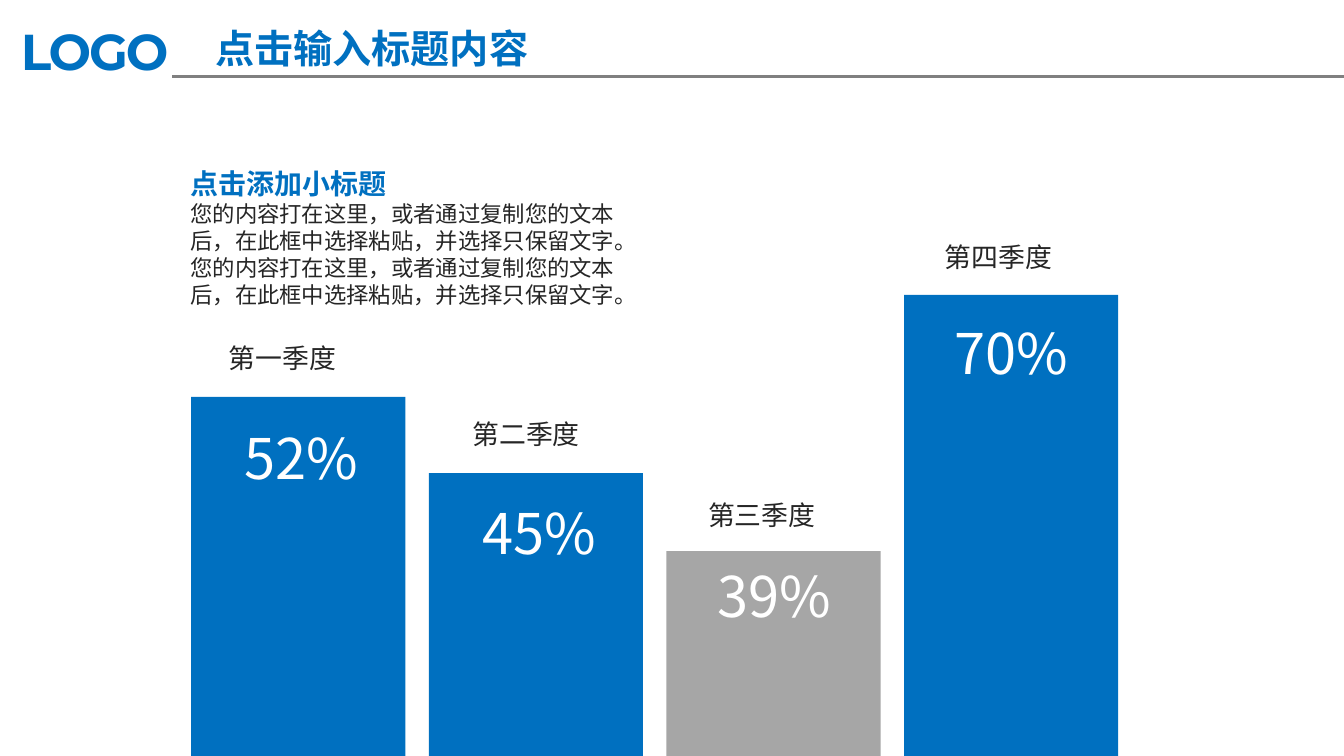
from pptx import Presentation
from pptx.dml.color import RGBColor
from pptx.enum.shapes import MSO_CONNECTOR, MSO_SHAPE
from pptx.enum.text import MSO_ANCHOR, MSO_AUTO_SIZE, PP_ALIGN
from pptx.oxml.ns import qn
from pptx.util import Cm, Pt
from lxml import etree

RECTANGLE = MSO_SHAPE.RECTANGLE
STRAIGHT = MSO_CONNECTOR.STRAIGHT
TOP = MSO_ANCHOR.TOP
NO_FIT = MSO_AUTO_SIZE.NONE
LEFT, CENTER = PP_ALIGN.LEFT, PP_ALIGN.CENTER

BLUE = RGBColor(0x00, 0x70, 0xC0)
GREY = RGBColor(0xA6, 0xA6, 0xA6)
RULE_GREY = RGBColor(0x80, 0x80, 0x80)
DARK = RGBColor(0x26, 0x26, 0x26)
WHITE = RGBColor(0xFF, 0xFF, 0xFF)

SLIDE_W, SLIDE_H = 33.88, 19.05


class QuarterSlide:
    """Holds the fonts and the slide, and draws its elements (lengths in cm)."""

    text_font = "Noto Sans CJK SC"
    logo_font = "Montserrat"

    def __init__(self, presentation):
        self.slide = presentation.slides.add_slide(presentation.slide_layouts[1])

    def place(self, shape, left, top, width, height):
        shape.left, shape.top = Cm(left), Cm(top)
        shape.width, shape.height = Cm(width), Cm(height)

    def style(self, paragraph, size, color, bold=False, font=None):
        name = font or self.text_font
        for run in paragraph.runs:
            run.font.name = name
            run.font.size = Pt(size)
            run.font.bold = bold
            run.font.color.rgb = color
            east_asian = etree.SubElement(run.font._element, qn("a:ea"))
            east_asian.set("typeface", name)

    def frame(self, shape, wrap=True, inset=(0.25, 0.13)):
        frame = shape.text_frame
        frame.auto_size = NO_FIT
        frame.word_wrap = wrap
        frame.vertical_anchor = TOP
        frame.margin_left = frame.margin_right = Cm(inset[0])
        frame.margin_top = frame.margin_bottom = Cm(inset[1])
        return frame

    def title(self, text, box):
        heading = self.slide.shapes.title
        self.place(heading, *box)
        frame = self.frame(heading)
        frame.text = text
        frame.paragraphs[0].alignment = CENTER
        self.style(frame.paragraphs[0], 28, BLUE, bold=True)

    def body(self, subtitle, passages, box):
        content = self.slide.placeholders[1]
        self.place(content, *box)
        frame = self.frame(content)
        frame.text = "\n".join([subtitle, *passages])
        for paragraph in frame.paragraphs:
            paragraph.alignment = LEFT
            paragraph.space_before = Pt(0)
            properties = paragraph._p.get_or_add_pPr()
            properties.set("marL", "0")
            properties.set("indent", "0")
            etree.SubElement(properties, qn("a:buNone"))
            self.style(paragraph, 16, DARK)
        first = frame.paragraphs[0]
        first.line_spacing = 2.0
        first.runs[0].font.size = Pt(20)
        first.runs[0].font.bold = True
        first.runs[0].font.color.rgb = BLUE

    def text(self, text, box, size, color, wrap=True, inset=(0.25, 0.13), **look):
        label = self.slide.shapes.add_textbox(*map(Cm, box))
        frame = self.frame(label, wrap, inset)
        frame.text = text
        self.style(frame.paragraphs[0], size, color, **look)
        return frame.paragraphs[0]

    def logo(self, text, box):
        word = self.text(text, box, 36, BLUE, inset=(0.33, 0.18),
                         bold=True, font=self.logo_font)
        word.runs[0].font._element.set("spc", "-150")

    def quarter_label(self, text, box):
        label = self.text(text, box, 24, DARK, inset=(0.2, 0.1))
        label.line_spacing = 0.9
        label.runs[0].font._element.set("cap", "small")

    def rule(self, left, right, y):
        line = self.slide.shapes.add_connector(
            STRAIGHT, Cm(left), Cm(y), Cm(right), Cm(y))
        line.line.color.rgb = RULE_GREY
        line.line.width = Pt(2)
        etree.SubElement(line._element.spPr, qn("a:effectLst"))

    def bar(self, box, color):
        column = self.slide.shapes.add_shape(RECTANGLE, *map(Cm, box))
        column.shadow.inherit = False
        column.fill.solid()
        column.fill.fore_color.rgb = color
        column.line.fill.background()


def main():
    presentation = Presentation()
    presentation.slide_width, presentation.slide_height = Cm(SLIDE_W), Cm(SLIDE_H)
    page = QuarterSlide(presentation)

    # Header
    page.logo("LOGO", (0.2, 0.33, 4.72, 1.88))
    page.rule(4.34, SLIDE_W, 1.93)
    page.title("点击输入标题内容", (4.8, 0.48, 9.14, 1.45))

    # Introduction
    passage = "您的内容打在这里，或者通过复制您的文本后，在此框中选择粘贴，并选择只保留文字。"
    page.body("点击添加小标题", [passage, passage], (4.55, 3.23, 11.73, 4.7))

    # Quarter bars: name, share, colour, bar top, share (left, top), name (left, top)
    quarters = [
        ("第一季度", "52%", BLUE, 10.0, (5.92, 10.54), (5.56, 8.46)),
        ("第二季度", "45%", BLUE, 11.92, (11.91, 12.42), (11.71, 10.36)),
        ("第三季度", "39%", GREY, 13.89, (17.83, 14.02), (17.65, 12.42)),
        ("第四季度", "70%", BLUE, 7.43, (23.8, 7.9), (23.62, 5.92)),
    ]
    first_left, pitch, bar_width, bar_bottom = 4.82, 5.99, 5.4, 19.12
    for i, (name, share, color, top, share_at, name_at) in enumerate(quarters):
        page.bar((first_left + i * pitch, top, bar_width, bar_bottom - top), color)
        page.text(share, (*share_at, 3.45, 1.96), 40, WHITE, wrap=False)
        page.quarter_label(name, (*name_at, 3.91, 1.12))

    presentation.save("out.pptx")


if __name__ == "__main__":
    main()
